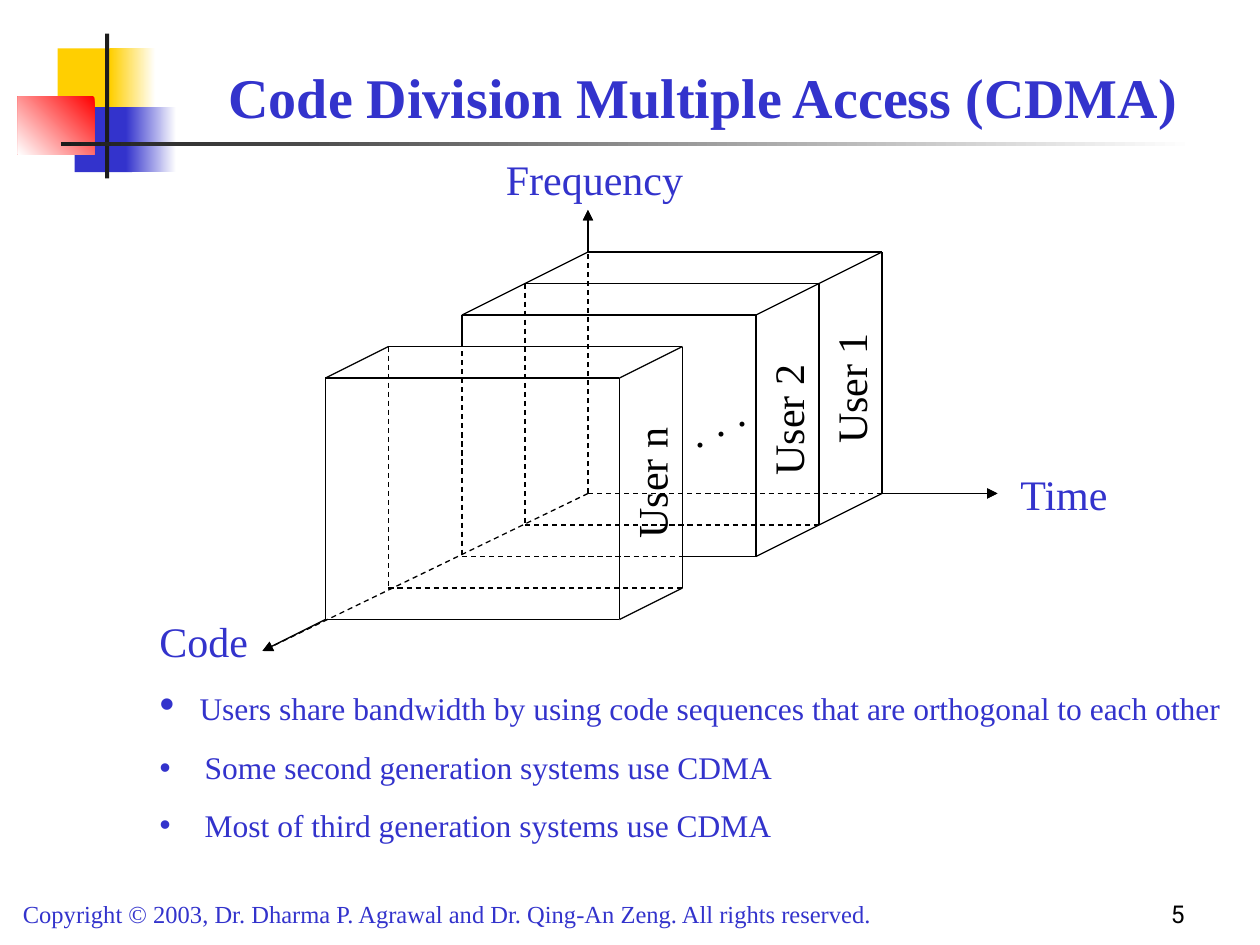
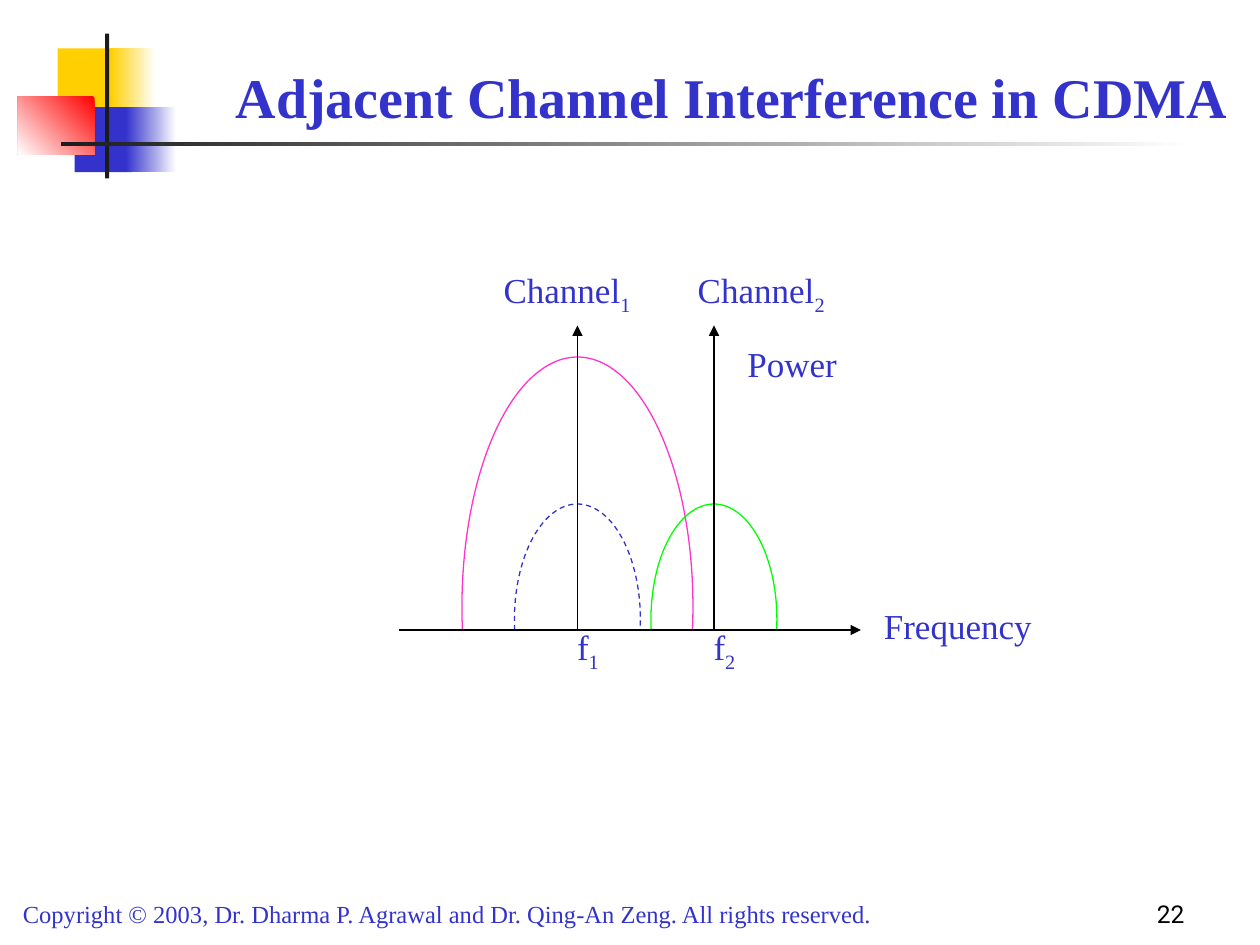
import math

import lxml.etree
import pptx
import pptx.dml.color
import pptx.enum.dml
import pptx.enum.shapes
import pptx.enum.text
import pptx.oxml.ns
import pptx.util

PX = 7620  # 120 px to the inch
BLUE, BLACK, WHITE = "3333CC", "000000", "FFFFFF"
YELLOW, RED, DARK = "FFCF01", "FF0000", "1C1C1C"
PINK, GREEN = "FF33CC", "00FF00"
SERIF, SANS = "Times New Roman", "Roboto"
CREDIT = ("Copyright © 2003, Dr. Dharma P. Agrawal and Dr. Qing-An Zeng. "
          "All rights reserved.")
ALIGN = pptx.enum.text.PP_ALIGN
ANCHOR = pptx.enum.text.MSO_ANCHOR
RECT = pptx.enum.shapes.MSO_SHAPE.RECTANGLE


def color(code):
    return pptx.dml.color.RGBColor.from_string(code)


def add_tag(parent, name, **attrs):
    return lxml.etree.SubElement(parent, pptx.oxml.ns.qn(name), attrs)


def style(para, size, ink=BLUE, face=SERIF, bold=False):
    font = para.font
    font.size, font.name, font.bold = pptx.util.Pt(size), face, bold
    font.color.rgb = color(ink)


def move(shape, x, y, wide, high):
    shape.left, shape.top = x * PX, y * PX
    shape.width, shape.height = wide * PX, high * PX


def stroke(line, ink, dash):
    line.width = pptx.util.Pt(0.75)
    line.color.rgb = color(ink)
    if dash:
        line.dash_style = pptx.enum.dml.MSO_LINE.DASH


def bend(path):
    """Turn each three straight steps of a path into one Bezier curve."""
    steps = path.findall(pptx.oxml.ns.qn("a:lnTo"))
    for i in range(0, len(steps), 3):
        curve = add_tag(path, "a:cubicBezTo")
        for step in steps[i:i + 3]:
            curve.append(step[0])
            path.remove(step)


class Region:
    """A part of a slide; lengths are px from its top left corner."""

    def __init__(self, slide, x=0, y=0):
        self.shapes, self.x, self.y = slide.shapes, x, y

    def label(self, text, x, y, wide, high, size, ink=BLUE, face=SERIF,
              align=ALIGN.LEFT, anchor=ANCHOR.TOP, sub="", turn=0):
        box = self.shapes.add_textbox(0, 0, 0, 0)
        move(box, self.x + x, self.y + y, wide, high)
        box.rotation = turn
        frame = box.text_frame
        frame.word_wrap, frame.vertical_anchor = True, anchor
        para = frame.paragraphs[0]
        para.alignment = align
        para.add_run().text = text
        if sub:
            run = para.add_run()
            run.text = sub
            run.font._element.set("baseline", "-25000")
        style(para, size, ink, face)

    def line(self, start, end, dash=False, arrow=False):
        points = [(a + b) * PX for point in (start, end)
                  for a, b in zip(point, (self.x, self.y))]
        link = self.shapes.add_connector(
            pptx.enum.shapes.MSO_CONNECTOR.STRAIGHT, *points)
        stroke(link.line, BLACK, dash)
        if arrow:
            add_tag(link.line._get_or_add_ln(), "a:tailEnd", type="triangle")
        add_tag(link._element.spPr, "a:effectLst")

    def arch(self, mid, base, top, wide, high, ink, dash=False):
        """Upper part of an ellipse with radii wide and high, cut at base."""
        core = top + high
        low = math.asin((base - core) / high)
        parts = 4
        step = (math.pi + 2 * low) / parts
        reach = 4 / 3 * math.tan(step / 4)

        def spot(turn, pull=0):
            x = math.cos(turn) + pull * math.sin(turn)
            y = -math.sin(turn) + pull * math.cos(turn)
            # Going clockwise, the tangent is (sin, cos).
            return ((self.x + mid + wide * x) * PX,
                    (self.y + core + high * y) * PX)

        turn = math.pi + low
        pen = self.shapes.build_freeform(*spot(turn))
        for _ in range(parts):
            after = turn - step
            pen.add_line_segments(
                [spot(turn, reach), spot(after, -reach), spot(after)],
                close=False)
            turn = after
        curve = pen.convert_to_shape()
        path = next(curve._element.iter(pptx.oxml.ns.qn("a:path")))
        bend(path)
        curve.height = 2 * high * PX
        path.set("h", str(curve.height))
        curve.shadow.inherit = False
        curve.fill.background()
        stroke(curve.line, ink, dash)

    def block(self, x, y, wide, high, ink, fade=None):
        """Rectangle, plain or fading to white at the angle given."""
        rect = self.shapes.add_shape(RECT, 0, 0, 0, 0)
        move(rect, self.x + x, self.y + y, wide, high)
        rect.shadow.inherit = False
        rect.line.fill.background()
        if fade is None:
            rect.fill.solid()
            rect.fill.fore_color.rgb = color(ink)
            return
        rect.fill.gradient()
        rect.fill.gradient_angle = fade
        for stop, code in zip(rect.fill.gradient_stops, (ink, WHITE)):
            stop.color.rgb = color(code)


def emblem(region):
    region.block(38, 14, 58, 62, YELLOW)
    region.block(88, 14, 43, 62, YELLOW, 0)
    region.block(54, 70, 55, 62, BLUE)
    region.block(103, 70, 48, 62, BLUE, 0)
    region.block(0, 60, 73, 55, RED, 225)
    region.block(83, 0, 4, 138, DARK)
    region.block(41, 103, 1080, 4, DARK, 0)


def footer(region, number):
    region.label(CREDIT, 0, 20, 910, 41, 14)
    region.label(number, 880, 0, 250, 60, 14, BLACK, SANS,
                 ALIGN.RIGHT, ANCHOR.BOTTOM)


def frame_slide(deck, layout, title, x, wide, number):
    slide = deck.slides.add_slide(deck.slide_layouts[layout])
    emblem(Region(slide, 17, 32))
    footer(Region(slide, 10, 830), number)
    head = slide.shapes.title
    move(head, x, 40, wide, 90)
    frame = head.text_frame
    frame.text = title
    frame.auto_size = pptx.enum.text.MSO_AUTO_SIZE.NONE
    frame.vertical_anchor = ANCHOR.BOTTOM
    frame.paragraphs[0].alignment = ALIGN.CENTER
    style(frame.paragraphs[0], 32, bold=True)
    return slide


def cubes(region):
    wide, high, dx, dy = 280, 230, 60, 30
    back, front = (420, 100), (170, 220)
    second = (back[0] - dx, back[1] + dy)
    third = (second[0] - dx, second[1] + dy)
    last = (front[0] + dx, front[1] - dy)

    def corners(plane):
        x, y = plane
        return ((x, y), (x + wide, y), (x + wide, y + high), (x, y + high))

    # Each axis is dashed inside the cubes and solid beyond them.
    root = corners(back)[3]
    for edge, tip in ((corners(back)[2], (810, 330)),
                      (back, (420, 60)),
                      (corners(front)[3], (110, 480))):
        region.line(root, tip, dash=True, arrow=True)
        region.line(edge, tip, arrow=True)

    for plane in (back, second, third, last, front):
        nw, ne, se, sw = corners(plane)
        region.line(nw, ne)
        region.line(ne, se)
        if plane != back:
            hidden = plane != front
            region.line(sw, se, dash=hidden)
            region.line(nw, sw, dash=hidden)
    for far, near in ((back, second), (second, third), (last, front)):
        for start, end in list(zip(corners(far), corners(near)))[:3]:
            region.line(start, end)

    # The third plane is in view where the last cube does not cover it.
    nw, _, se, _ = corners(third)
    region.line((last[0] + wide, se[1]), se)
    region.line(nw, (nw[0], last[1]))

    for text, x, y, room in (("Time", 820, 300, 120),
                             ("Frequency", 330, 0, 200),
                             ("Code", 0, 440, 120)):
        region.label(text, x, y, room, 60, 24)
    for text, x, y in (("User 1", 570, 200), ("User 2", 510, 230),
                       ("User n", 380, 290)):
        region.label(text, x, y, 200, 60, 24, BLACK,
                     align=ALIGN.CENTER, turn=270)
    for i, room in enumerate((30, 40, 30)):
        region.label(".", 550 - 20 * i, 220 + 10 * i, room, 60, 24, BLACK)


def bullets(body):
    move(body, 140, 640, 1040, 170)
    frame = body.text_frame
    frame.auto_size = pptx.enum.text.MSO_AUTO_SIZE.NONE
    items = (
        "Users share bandwidth by using code sequences that are "
        "orthogonal to each other",
        "Some second generation systems use CDMA",
        "Most of third generation systems use CDMA",
    )
    for i, text in enumerate(items):
        para = frame.add_paragraph() if i else frame.paragraphs[0]
        indent = (43 if i else 28) * PX
        props = para._p.get_or_add_pPr()
        props.set("marL", str(indent))
        props.set("indent", str(-indent))
        para.space_before = pptx.util.Pt(11.2 if i else 0)
        if not i:
            lead = para.add_run()
            lead.text = " "
            lead.font.size = pptx.util.Pt(24)
        para.add_run().text = text
        style(para, 18)


def channels(region):
    base, mids = 350, (170, 300)
    region.arch(mids[0], base, 90, 110, 238, PINK)
    region.arch(mids[1], base, 230, 60, 110, GREEN)
    region.arch(mids[0], base, 230, 60, 110, BLUE, dash=True)
    region.line((0, base), (440, base), arrow=True)
    for i, (mid, left, wide) in enumerate(zip(mids, (80, 260), (160, 170))):
        sub = str(i + 1)
        region.line((mid, base), (mid, 60), arrow=True)
        region.label("f", mid - 20, 340, 60, 58, 20,
                     align=ALIGN.CENTER, sub=sub)
        region.label("Channel", left, 0, wide, 58, 20,
                     align=ALIGN.CENTER, sub=sub)
    region.label("Frequency", 450, 320, 230, 53, 20)
    region.label("Power", 320, 70, 230, 53, 20)


def main():
    deck = pptx.Presentation()
    deck.slide_width, deck.slide_height = 1200 * PX, 900 * PX

    slide = frame_slide(deck, 1, "Code Division Multiple Access (CDMA)",
                        160, 1020, "5")
    cubes(Region(slide, 140, 140))
    bullets(slide.placeholders[1])

    slide = frame_slide(deck, 5, "Adjacent Channel Interference in CDMA",
                        170, 1054, "22")
    channels(Region(slide, 380, 250))

    deck.save("out.pptx")


if __name__ == "__main__":
    main()
